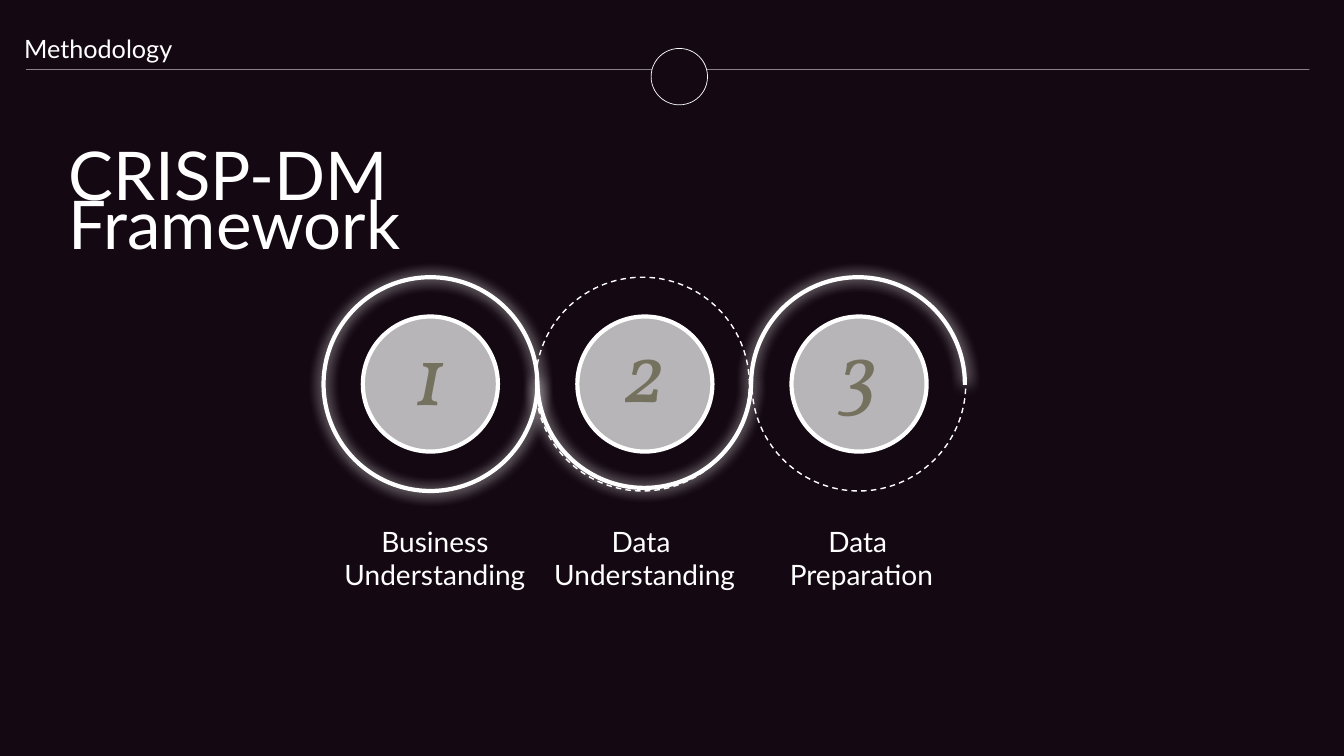
"""Build the CRISP-DM framework slide with its three linked stages."""
from dataclasses import dataclass

from lxml.etree import SubElement
from pptx import Presentation
from pptx.dml.color import RGBColor
from pptx.dml.fill import FillFormat
from pptx.enum.dml import MSO_LINE
from pptx.enum.shapes import MSO_CONNECTOR, MSO_SHAPE
from pptx.enum.text import MSO_ANCHOR, MSO_AUTO_SIZE, PP_ALIGN
from pptx.oxml.ns import qn
from pptx.shapes.autoshape import Shape
from pptx.shapes.shapetree import SlideShapes
from pptx.text.text import TextFrame
from pptx.util import Pt

WHITE = "FFFFFF"
NIGHT = "140812"
OLIVE = "484525"
RING_SIZE = 152.7
RING_TOP = 198
DISC_SIZE = 96.5
DISC_TOP = 226.1


@dataclass(frozen=True)
class Stage:
    number: str
    label: str
    ring_left: float
    disc_left: float
    label_left: float
    number_lift: float


@dataclass(frozen=True)
class Arc:
    left: float
    top: float
    rotation: float
    start: float
    end: float


STAGES = (
    Stage("1", "Business Understanding", 231.1, 259.2, 244.8, 17.3),
    Stage("2", "Data \nUnderstanding", 382.5, 412.4, 394.6, 22.3),
    Stage("3", "Data \nPreparation", 537.1, 565.4, 549.4, 22.3),
)
ARCS = (
    Arc(231.1, 198, 0, -54, 0),
    Arc(383.8, 195.8, 180, 108.64, 0),
    Arc(536.5, 198, 0, 108, 0.27),
)


def color(value: str) -> RGBColor:
    return RGBColor.from_string(value)


def paint(fill: FillFormat, value: str, opacity: int = 100) -> None:
    fill.solid()
    fill.fore_color.rgb = color(value)
    if opacity < 100:
        solid = fill._xPr.find(qn("a:solidFill"))
        SubElement(solid[0], qn("a:alpha"), val=str(opacity * 1000))


def write(frame: TextFrame, words: str, font: str, size: float, ink: str = WHITE,
          opacity: int = 100, italic: bool = False, spacing: float = 1,
          align: PP_ALIGN = PP_ALIGN.CENTER) -> None:
    frame.text = words
    for paragraph in frame.paragraphs:
        paragraph.alignment = align
        paragraph.line_spacing = spacing
        for run in paragraph.runs:
            run.font.name = font
            run.font.size = Pt(size)
            run.font.italic = italic
            paint(run.font.fill, ink, opacity)


def set_margins(frame: TextFrame, bottom: float = 0) -> None:
    frame.margin_left = frame.margin_top = frame.margin_right = 0
    frame.margin_bottom = Pt(bottom)


def add_text(shapes: SlideShapes, left: float, top: float, width: float,
             height: float) -> TextFrame:
    frame = shapes.add_textbox(Pt(left), Pt(top), Pt(width), Pt(height)).text_frame
    frame.word_wrap = True
    frame.auto_size = MSO_AUTO_SIZE.SHAPE_TO_FIT_TEXT
    return frame


def add_outline(shapes: SlideShapes, kind: MSO_SHAPE, left: float, top: float,
                size: float, weight: float) -> Shape:
    outline = shapes.add_shape(kind, Pt(left), Pt(top), Pt(size), Pt(size))
    outline.shadow.inherit = False
    outline.fill.background()
    paint(outline.line.fill, WHITE)
    outline.line.width = Pt(weight)
    return outline


def add_ring(shapes: SlideShapes, stage: Stage) -> None:
    ring = add_outline(shapes, MSO_SHAPE.OVAL, stage.ring_left, RING_TOP, RING_SIZE, 1)
    ring.line.dash_style = MSO_LINE.DASH


def add_disc(shapes: SlideShapes, stage: Stage) -> None:
    disc = add_outline(shapes, MSO_SHAPE.OVAL, stage.disc_left, DISC_TOP, DISC_SIZE, 3)
    paint(disc.fill, WHITE, 70)
    frame = disc.text_frame
    frame.word_wrap = False
    frame.vertical_anchor = MSO_ANCHOR.MIDDLE
    set_margins(frame, stage.number_lift)
    write(frame, stage.number, "Vollkorn", 60, OLIVE, 60, italic=True)


def add_arc(shapes: SlideShapes, arc: Arc) -> None:
    glowing = add_outline(shapes, MSO_SHAPE.ARC, arc.left, arc.top, RING_SIZE, 3)
    glowing.rotation = arc.rotation
    glowing.adjustments[0] = arc.start
    glowing.adjustments[1] = arc.end
    effects = glowing._element.spPr.find(qn("a:effectLst"))
    glow = SubElement(effects, qn("a:outerShdw"), blurRad=str(Pt(10)), dist="0",
                      dir="0", algn="ctr", rotWithShape="0")
    SubElement(glow, qn("a:srgbClr"), val=WHITE)


def add_label(shapes: SlideShapes, stage: Stage) -> None:
    frame = add_text(shapes, stage.label_left, 374.4, 131.8, 48.2)
    set_margins(frame)
    write(frame, stage.label, "Lato", 20)


def add_header(shapes: SlideShapes) -> None:
    rule = shapes.add_connector(MSO_CONNECTOR.STRAIGHT, Pt(18.7), Pt(49.7),
                                Pt(935.3), Pt(49.7))
    rule.line.width = Pt(0.5)
    paint(rule.line.fill, WHITE, 50)
    SubElement(rule._element.spPr, qn("a:effectLst"))
    badge = add_outline(shapes, MSO_SHAPE.OVAL, 465.1, 34.6, 40.3, 0.5)
    paint(badge.fill, NIGHT)
    section = add_text(shapes, 10.1, 24.5, 120.2, 25.2)
    write(section, "Methodology", "Lato", 18, spacing=0.8)


def main() -> None:
    deck = Presentation()
    deck.slide_width, deck.slide_height = Pt(960), Pt(540)
    slide = deck.slides.add_slide(deck.slide_layouts[6])
    paint(slide.background.fill, NIGHT)
    shapes = slide.shapes
    title = add_text(shapes, 41.8, 112.3, 452.9, 46.1)
    write(title, "CRISP-DM Framework", "Lato", 48, spacing=0.6, align=PP_ALIGN.LEFT)
    for stage in STAGES:
        add_ring(shapes, stage)
        add_disc(shapes, stage)
    for arc in ARCS:
        add_arc(shapes, arc)
    for stage in STAGES:
        add_label(shapes, stage)
    add_header(shapes)
    deck.save("out.pptx")


if __name__ == "__main__":
    main()
